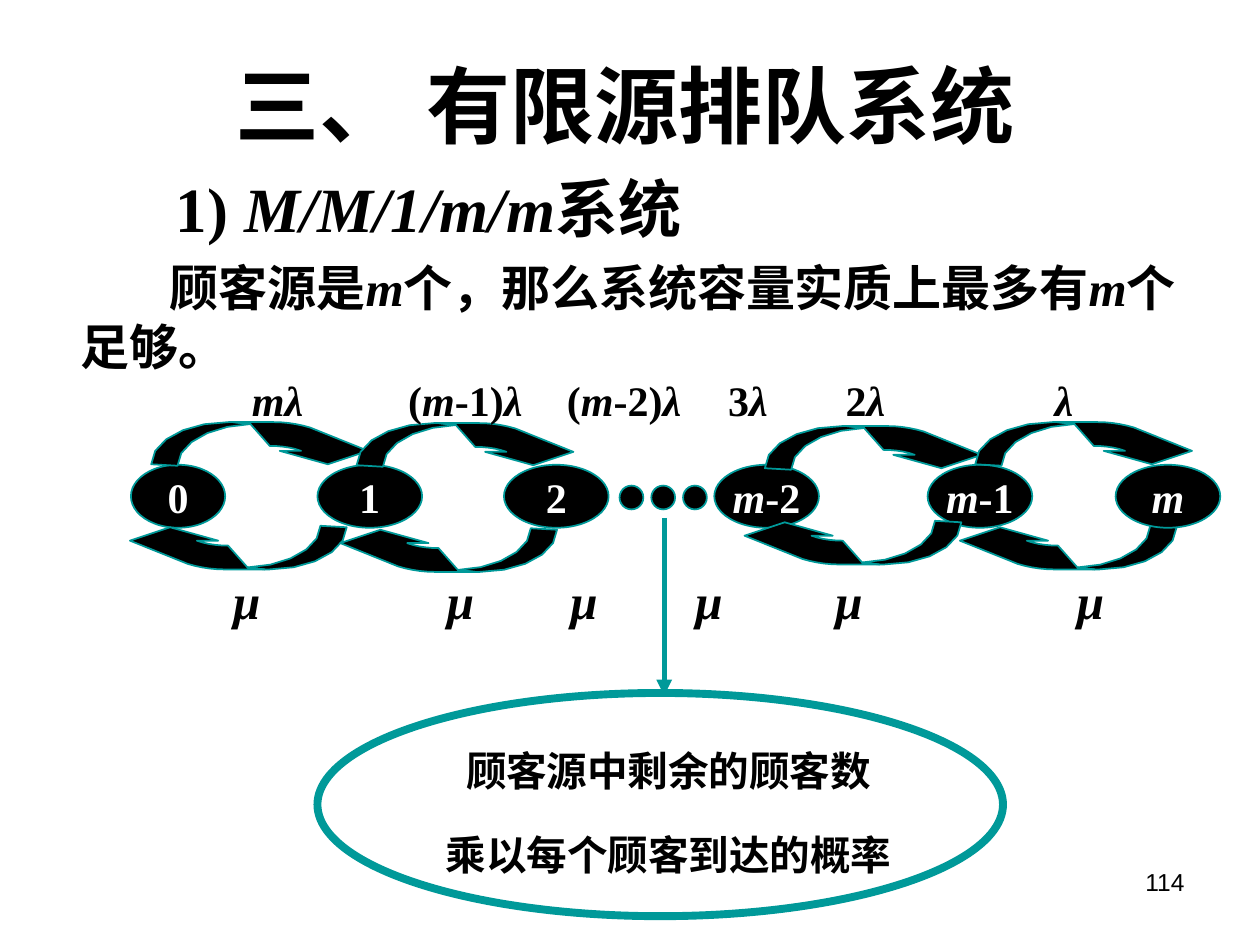
from pptx import Presentation
from pptx.dml.color import RGBColor
from pptx.enum.shapes import MSO_CONNECTOR as Link, MSO_SHAPE as Kind
from pptx.enum.text import MSO_ANCHOR as Anchor, MSO_AUTO_SIZE as Fit, PP_ALIGN as Align
from pptx.oxml.ns import qn
from pptx.util import Cm, Pt
from lxml.etree import SubElement

BLACK = RGBColor(0x00, 0x00, 0x00)
WHITE = RGBColor(0xFF, 0xFF, 0xFF)
TEAL = RGBColor(0x00, 0x99, 0x99)
SERIF = "Times New Roman"
SANS = "Arial"

NODES = [(2.64, 1.9, "0"), (6.4, 2.11, "1"), (10.16, 2.11, "2"),
         (14.4, 2.11, "*m*-2"), (18.7, 2.11, "*m*-1"), (22.49, 2.11, "*m*")]
RATES = [(4.83, 1.52, "*mλ*"), (7.98, 2.79, "(*m*-1)*λ*"), (11.18, 2.79, "(*m*-2)*λ*"),
         (14.43, 1.3, "3*λ*"), (16.8, 1.3, "2*λ*"), (21.01, 1.7, "*λ*")]
EXITS = [(4.45, 1.04), (8.76, 1.04), (11.25, 2.95),
         (13.77, 2.95), (16.59, 2.95), (21.46, 1.04)]
RISES = [(3.05, 8.51), (7.19, 8.53), (15.42, 8.59), (19.66, 8.51)]
FALLS = [(6.99, 11.48), (11.23, 11.53), (19.38, 11.38), (23.72, 11.48)]
TAIL = [(0, 0.85), (0, 0.38, 0.7, 0, 1.56, 0), (1.65, 0), (2, 0.04),
        (1.19, 0.07, 0.53, 0.44, 0.53, 0.88)]
HEAD = [(1.65, 0), (2.46, 0), (2.72, 0, 2.97, 0.04, 3.2, 0.11), (4.37, 0.58),
        (3.56, 0.85), (2.59, 0.58), (3.02, 0.58),
        (2.83, 0.51, 2.62, 0.48, 2.39, 0.48), (2, 0.04)]


def place(shape, x, y, w, h):
    """Move and size a shape, in centimetres."""
    shape.left, shape.top, shape.width, shape.height = Cm(x), Cm(y), Cm(w), Cm(h)


def write(par, text, size, color=BLACK, face=SERIF, bold=True):
    """Fill a paragraph, with italics between asterisks."""
    for i, part in enumerate(text.split("*")):
        if part:
            run = par.add_run()
            run.text = part
            font = run.font
            font.name, font.size, font.bold, font.italic = face, Pt(size), bold, i % 2 == 1
            font.color.rgb = color
            SubElement(run._r.rPr, qn("a:ea")).set("typeface", SANS)


def paint(shape, fill=BLACK, width=1):
    """Give a shape its fill and teal outline."""
    shape.shadow.inherit = False
    if fill is None:
        shape.fill.background()
    else:
        shape.fill.solid()
        shape.fill.fore_color.rgb = fill
    shape.line.color.rgb = TEAL
    shape.line.width = Pt(width)


def oval(slide, x, y, w, h, **look):
    """Add an ellipse."""
    shape = slide.shapes.add_shape(Kind.OVAL, Cm(x), Cm(y), Cm(w), Cm(h))
    paint(shape, **look)
    return shape


def node(slide, x, w, text):
    """Add a state with its name."""
    frame = oval(slide, x, 9.37, w, 1.27).text_frame
    frame.word_wrap = False
    frame.vertical_anchor = Anchor.MIDDLE
    par = frame.paragraphs[0]
    par.alignment = Align.CENTER
    write(par, text, 24, WHITE)


def label(slide, x, y, w, h, text, size, **look):
    """Add a line of text and return its frame."""
    frame = slide.shapes.add_textbox(Cm(x), Cm(y), Cm(w), Cm(h)).text_frame
    frame.word_wrap = True
    frame.margin_right = 0
    write(frame.paragraphs[0], text, size, **look)
    return frame


def trace(steps):
    """Turn lines and cubic curves into points."""
    pts = [steps[0]]
    for step in steps[1:]:
        if len(step) == 2:
            pts.append(step)
            continue
        ends = [pts[-1], step[:2], step[2:4], step[4:]]
        for k in range(1, 6):
            t = k / 5
            mix = ((1 - t) ** 3, 3 * t * (1 - t) ** 2, 3 * t * t * (1 - t), t ** 3)
            pts.append(tuple(sum(m * p[a] for m, p in zip(mix, ends)) for a in (0, 1)))
    return pts


def arc(slide, x, y, sign):
    """Add a curved arrow, turned half round when sign is -1."""
    tail, head = ([(Cm(x + sign * dx), Cm(y + sign * dy)) for dx, dy in trace(part)]
                  for part in (TAIL, HEAD))
    pen = slide.shapes.build_freeform(*tail[0])
    pen.add_line_segments(tail[1:], close=True)
    pen.move_to(*head[0])
    pen.add_line_segments(head[1:], close=True)
    paint(pen.convert_to_shape())


def pointer(slide):
    """Add the arrow down to the remark."""
    line = slide.shapes.add_connector(Link.STRAIGHT, Cm(13.39), Cm(10.44), Cm(13.39), Cm(14.02))
    line.line.color.rgb = TEAL
    line.line.width = Pt(3)
    SubElement(line.line._get_or_add_ln(), qn("a:tailEnd")).set("type", "triangle")
    SubElement(line._element.spPr, qn("a:effectLst"))


def remark(slide):
    """Add the ringed remark in raised type."""
    oval(slide, 6.4, 13.97, 13.82, 4.5, fill=None, width=4.5)
    frame = label(slide, 6.85, 15.62, 13.26, 1.9, "顾客源中剩余的顾客数", 40, face=SANS)
    frame.margin_right = frame.margin_left
    frame.vertical_anchor = Anchor.MIDDLE
    write(frame.add_paragraph(), "乘以每个顾客到达的概率", 40, face=SANS)
    for par in frame.paragraphs:
        par.alignment = Align.CENTER
        par.runs[0].font._element.set("baseline", "30000")


def heads(slide):
    """Fill the title and body."""
    title, body = slide.shapes.title, slide.placeholders[1]
    place(title, 1.09, 0.89, 23.01, 2.41)
    frame = title.text_frame
    frame.auto_size = Fit.NONE
    frame.vertical_anchor = Anchor.MIDDLE
    write(frame.paragraphs[0], "三、 有限源排队系统", 48)
    place(body, 0.38, 3.3, 24.38, 5.03)
    frame = body.text_frame
    frame.auto_size = Fit.NONE
    frame.margin_top = Cm(0.12)
    rows = [("1) *M/M/1/m/m*系统", 36, 1.92, 0),
            ("顾客源是*m*个，那么系统容量实质上最多有*m*个足够。", 28, 1.8, 7)]
    for i, (text, size, dent, gap) in enumerate(rows):
        par = frame.add_paragraph() if i else frame.paragraphs[0]
        par.level = 1
        par.space_before = Pt(gap)
        prop = par._p.get_or_add_pPr()
        prop.set("marL", str(Cm(0.99)))
        prop.set("indent", str(Cm(dent)))
        SubElement(prop, qn("a:buNone"))
        write(par, text, size)


def main():
    """Build the slide and save it."""
    deck = Presentation()
    deck.slide_width, deck.slide_height = Cm(25.4), Cm(19.05)
    slide = deck.slides.add_slide(deck.slide_layouts[1])
    heads(slide)
    page = label(slide, 18.21, 17.35, 5.92, 1.32, "114", 14, face=SANS, bold=False)
    page.margin_right = page.margin_left
    page.paragraphs[0].alignment = Align.RIGHT
    for state in NODES[:-1]:
        node(slide, *state)
    for i in range(3):
        oval(slide, 12.49 + 0.64 * i, 9.79, 0.48, 0.48)
    for spots, sign in ((RISES, 1), (FALLS, -1)):
        for x, y in spots:
            arc(slide, x, y, sign)
    node(slide, *NODES[-1])
    for x, w, text in RATES:
        label(slide, x, 7.42, w, 1.27, text, 24)
    for x, w in EXITS:
        label(slide, x, 11.38, w, 1.45, "*μ*", 28)
    pointer(slide)
    remark(slide)
    deck.save("out.pptx")


if __name__ == "__main__":
    main()
